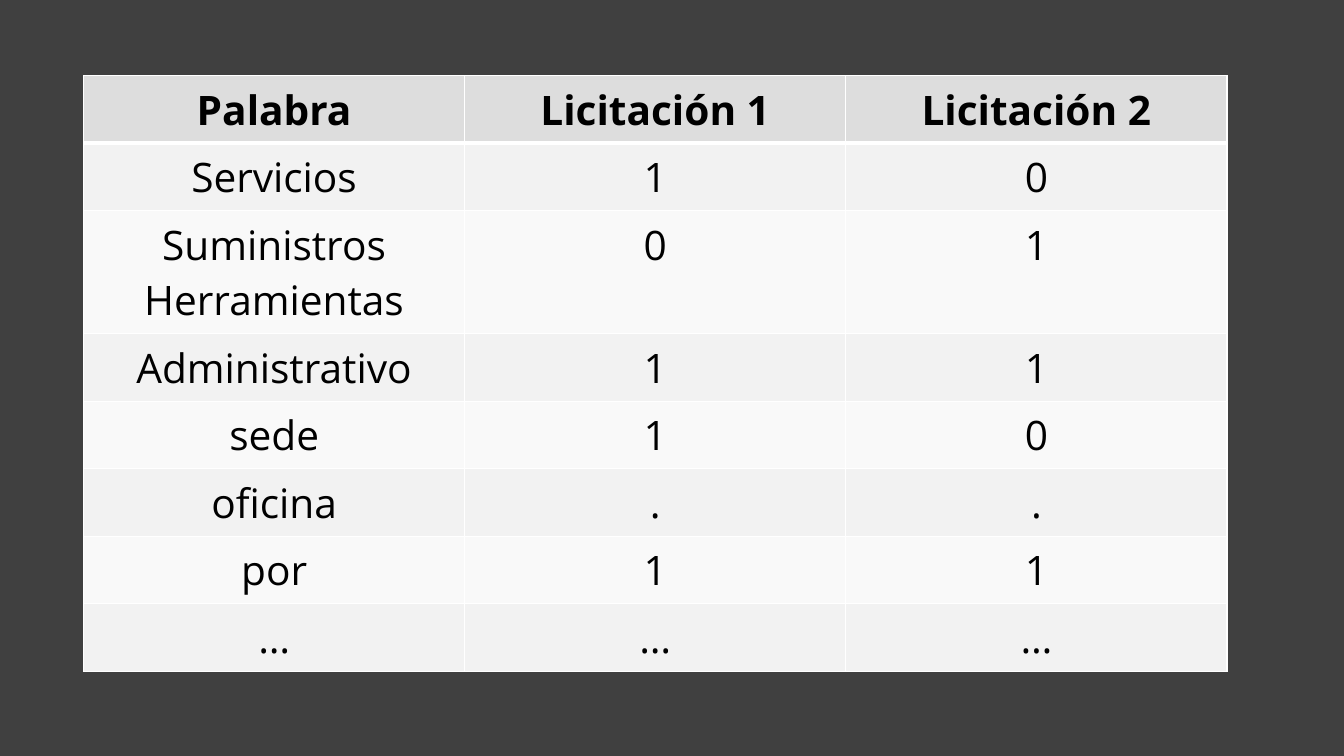
from pptx import Presentation, util as u
from pptx.dml.color import RGBColor
from pptx.enum import text
from pptx.oxml import parse_xml
from pptx.oxml.ns import nsdecls

HUES = {"back": "404040", "head": "DDDDDD", "odd": "F2F2F2",
        "even": "F9F9F9", "line": "FFFFFF", "text": "000000"}
ROWS = [
    ("Palabra", "Licitación 1", "Licitación 2"),
    ("Servicios", "1", "0"),
    ("Suministros\nHerramientas", "0", "1"),
    ("Administrativo", "1", "1"),
    ("sede", "1", "0"),
    ("oficina", ".", "."),
    ("por", "1", "1"),
    ("…", "…", "…"),
]


def hue(name):
    return RGBColor.from_string(HUES[name])


def edge(cell, side, width):
    """Draw one border of a cell; side is L, R, T or B, width is in points."""
    cell._tc.get_or_add_tcPr().append(parse_xml(
        f'<a:ln{side} {nsdecls("a")} w="{u.Pt(width)}"><a:solidFill>'
        f'<a:srgbClr val="{HUES["line"]}"/></a:solidFill></a:ln{side}>'))


deck = Presentation()
deck.slide_width, deck.slide_height = u.Inches(13.33), u.Inches(7.5)
slide = deck.slides.add_slide(deck.slide_layouts[6])
slide.background.fill.solid()
slide.background.fill.fore_color.rgb = hue("back")

table = slide.shapes.add_table(
    len(ROWS), 3, u.Inches(0.83), u.Inches(0.75),
    u.Inches(11.33), u.Inches(5.37)).table
for col in table.columns:
    col.width = u.Inches(3.78)

for r, words in enumerate(ROWS):
    table.rows[r].height = u.Inches(0.85 if "\n" in words[0] else 0.47)
    for c, word in enumerate(words):
        cell = table.cell(r, c)
        cell.text = word
        cell.margin_left = cell.margin_right = u.Inches(0.13)
        cell.margin_top = cell.margin_bottom = u.Inches(0.06)
        for side in "LRTB":
            thick = (r, side) in ((0, "B"), (1, "T"))
            edge(cell, side, 3 if thick else 1)
        cell.fill.solid()
        cell.fill.fore_color.rgb = hue(
            "head" if r == 0 else "odd" if r % 2 else "even")
        for para in cell.text_frame.paragraphs:
            para.alignment = text.PP_ALIGN.CENTER
            para.font.name = "Open Sans"
            para.font.size = u.Pt(29)
            para.font.bold = r == 0
            para.font.color.rgb = hue("text")

deck.save("out.pptx")
